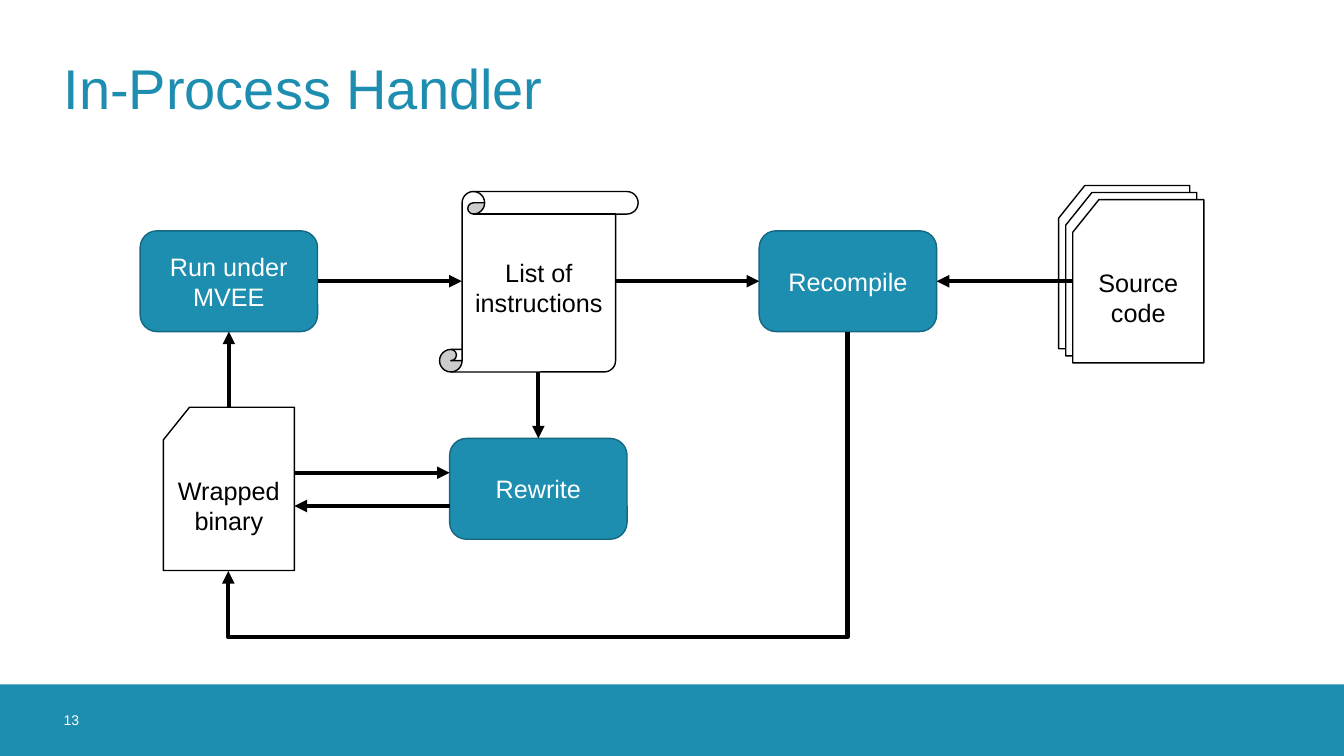
from lxml import etree
from pptx import Presentation
from pptx.dml.color import RGBColor
from pptx.enum.shapes import MSO_CONNECTOR as Link, MSO_SHAPE as Kind
from pptx.enum.text import MSO_ANCHOR as Anchor, PP_ALIGN as Align
from pptx.oxml.ns import qn
from pptx.util import Inches, Pt

TEAL, EDGE, WHITE, BLACK = "1D8DB0", "156882", "FFFFFF", "000000"


def color(code):
    return RGBColor.from_string(code)


def write(shape, text, size, ink, align):
    frame = shape.text_frame
    frame.word_wrap = True
    frame.vertical_anchor = Anchor.MIDDLE
    if align == Align.LEFT:
        frame.margin_left = frame.margin_right = 0
        frame.margin_top = frame.margin_bottom = 0
    frame.text = text
    for para in frame.paragraphs:
        para.alignment = align
        para.font.size = Pt(size)
        para.font.name = "Arial"
        para.font.color.rgb = color(ink)


deck = Presentation()
deck.slide_width, deck.slide_height = Inches(13.33), Inches(7.5)
slide = deck.slides.add_slide(deck.slide_layouts[5])
shapes = slide.shapes

band = shapes.add_shape(Kind.RECTANGLE, 0, Inches(6.79), Inches(13.33), Inches(0.71))
band.shadow.inherit = False
band.fill.solid()
band.fill.fore_color.rgb = color(TEAL)
band.line.fill.background()

number = shapes.add_textbox(Inches(0.63), Inches(6.79), Inches(0.71), Inches(0.71))
write(number, "13", 10, WHITE, Align.LEFT)

title = shapes.title
title.left, title.top = Inches(0.63), Inches(0.23)
title.width, title.height = Inches(12.07), Inches(1.26)
write(title, "In-Process Handler", 40, TEAL, Align.LEFT)

STEP = (Kind.FLOWCHART_ALTERNATE_PROCESS, 1.76, 1, TEAL, EDGE, WHITE)
CARD = (Kind.FLOWCHART_CARD, 1.3, 1.62, WHITE, BLACK, BLACK)
SCROLL = (Kind.VERTICAL_SCROLL, 1.97, 1.79, WHITE, BLACK, BLACK)
nodes = [
    (STEP, 1.39, 2.29, "Run under MVEE"),
    (SCROLL, 4.36, 1.9, "List of instructions"),
    (CARD, 10.5, 1.84, ""),
    (CARD, 10.57, 1.91, ""),
    (CARD, 10.64, 1.98, "Source code"),
    (STEP, 7.53, 2.29, "Recompile"),
    (STEP, 4.46, 4.35, "Rewrite"),
    (CARD, 1.62, 4.04, "Wrapped\nbinary"),
]
for (kind, wide, high, fill, edge, ink), left, top, text in nodes:
    node = shapes.add_shape(kind, Inches(left), Inches(top), Inches(wide), Inches(high))
    node.shadow.inherit = False
    node.fill.solid()
    node.fill.fore_color.rgb = color(fill)
    node.line.color.rgb = color(edge)
    node.line.width = Pt(1)
    if text:
        write(node, text, 18, ink, Align.CENTER)

arrows = [
    (Link.STRAIGHT, 3.15, 2.79, 4.58, 2.79),
    (Link.STRAIGHT, 6.1, 2.79, 7.53, 2.79),
    (Link.STRAIGHT, 10.64, 2.79, 9.29, 2.79),
    (Link.STRAIGHT, 2.92, 4.69, 4.46, 4.69),
    (Link.STRAIGHT, 4.46, 5.02, 2.92, 5.02),
    (Link.STRAIGHT, 2.27, 4.04, 2.27, 3.29),
    (Link.STRAIGHT, 5.34, 3.69, 5.34, 4.35),
    (Link.ELBOW, 4.15, 1.41, 6.52, 7.55),
]
for kind, *ends in arrows:
    arrow = shapes.add_connector(kind, *map(Inches, ends))
    arrow.line.color.rgb = color(BLACK)
    arrow.line.width = Pt(3)
    props = arrow.element.spPr
    etree.SubElement(props.find(qn("a:ln")), qn("a:tailEnd"), type="triangle")
    etree.SubElement(props, qn("a:effectLst"))
    if kind == Link.ELBOW:
        props.find(qn("a:xfrm")).set("rot", "5400000")
        guides = props.find(qn("a:prstGeom")).find(qn("a:avLst"))
        etree.SubElement(guides, qn("a:gd"), name="adj1", fmla="val 127800")

deck.save("out.pptx")
